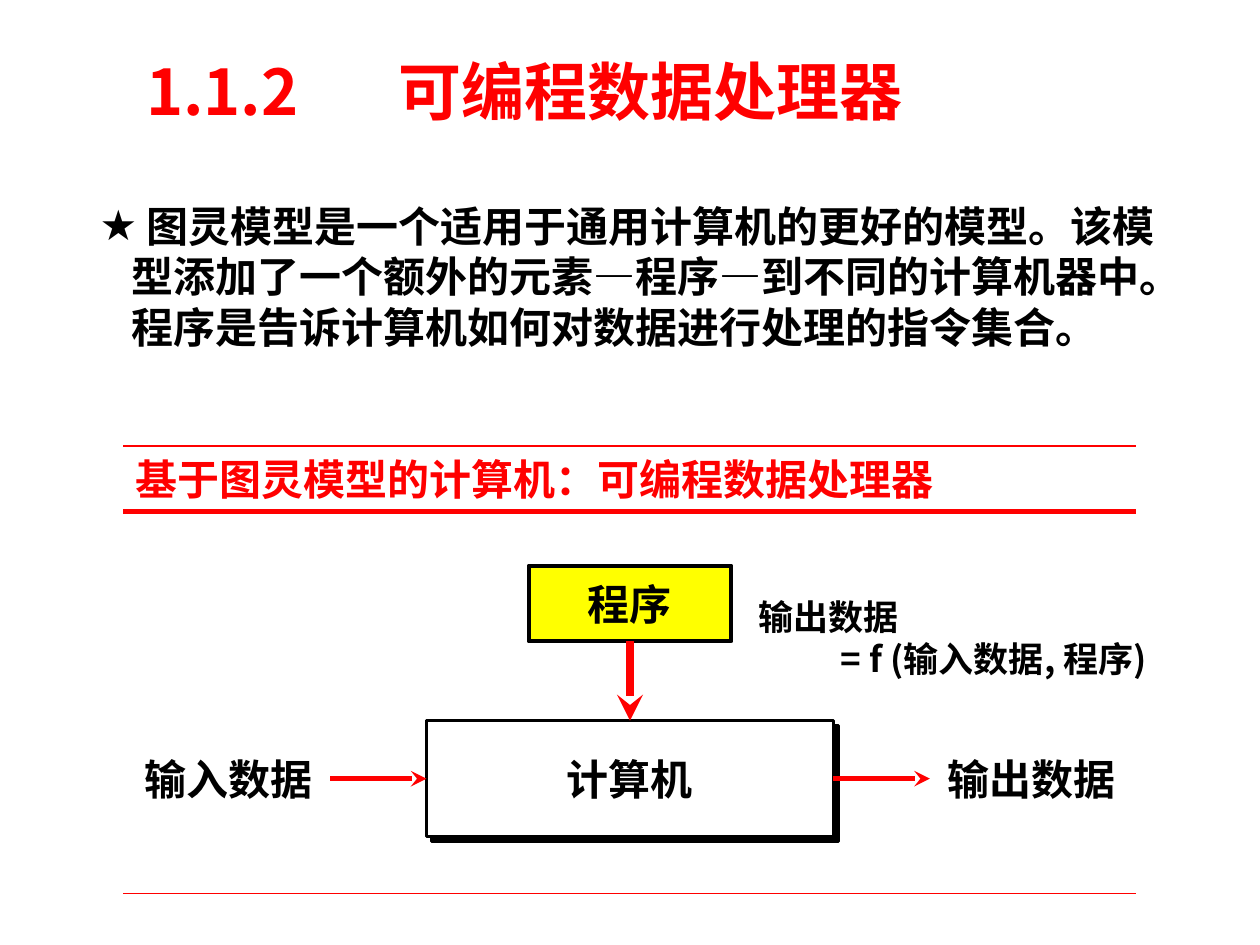
from lxml import etree
from pptx import Presentation
from pptx.dml.color import RGBColor
from pptx.enum.shapes import MSO_CONNECTOR, MSO_SHAPE
from pptx.enum.text import MSO_ANCHOR, MSO_AUTO_SIZE, PP_ALIGN
from pptx.oxml.ns import qn
from pptx.util import Inches, Pt

COLORS = {"red": "FF0000", "black": "000000", "white": "FFFFFF", "yellow": "FFFF00"}
CJK = "Noto Sans CJK SC"
LEFT, CENTER, RIGHT = PP_ALIGN.LEFT, PP_ALIGN.CENTER, PP_ALIGN.RIGHT
TOP, MIDDLE = MSO_ANCHOR.TOP, MSO_ANCHOR.MIDDLE
RECTANGLE, STRAIGHT = MSO_SHAPE.RECTANGLE, MSO_CONNECTOR.STRAIGHT
NO_FIT = MSO_AUTO_SIZE.NONE
COLS, ROWS = 100, 75
SIDE_TOP, SIDE_LEFT, SIDE_BOTTOM, SIDE_RIGHT = range(4)

prs = Presentation()
prs.slide_width, prs.slide_height = Inches(10), Inches(7.5)


def rgb(name):
    return RGBColor.from_string(COLORS[name])


def x(cols):
    return round(prs.slide_width * cols / COLS)


def y(rows):
    return round(prs.slide_height * rows / ROWS)


def within(box, left, top, width, height):
    return box[0] + left, box[1] + top, width, height


def emu(box):
    left, top, width, height = box
    return x(left), y(top), x(width), y(height)


def add_run(p, text, size, color="black", font=CJK):
    r = p.add_run()
    r.text = text
    r.font.size, r.font.bold, r.font.name = Pt(size), True, font
    r.font.color.rgb = rgb(color)
    etree.SubElement(r._r.get_or_add_rPr(), qn("a:ea")).set("typeface", CJK)


def set_frame(tf, anchor):
    tf.word_wrap = True
    tf.auto_size = NO_FIT
    tf.vertical_anchor = anchor


def add_label(s, box, text, align=CENTER, color="black", font="Calibri"):
    sp = s.shapes.add_textbox(*emu(box))
    set_frame(sp.text_frame, MIDDLE)
    p = sp.text_frame.paragraphs[0]
    p.alignment = align
    add_run(p, text, 24, color, font)
    return sp


def add_block(s, box, fill, width, text=None):
    sp = s.shapes.add_shape(RECTANGLE, *emu(box))
    sp.shadow.inherit = False
    sp.fill.solid()
    sp.fill.fore_color.rgb = rgb(fill)
    sp.line.color.rgb = rgb("black")
    sp.line.width = Pt(width)
    if text:
        set_frame(sp.text_frame, MIDDLE)
        p = sp.text_frame.paragraphs[0]
        p.alignment = CENTER
        add_run(p, text, 24, font="Calibri")
    return sp


def add_line(s, start, end, width):
    line = s.shapes.add_connector(STRAIGHT, x(start[0]), y(start[1]), x(end[0]), y(end[1]))
    line.line.color.rgb = rgb("red")
    line.line.width = Pt(width)
    etree.SubElement(line._element.spPr, qn("a:effectLst"))
    return line


def add_arrow(s, source, source_side, target, target_side, width):
    arrow = add_line(s, (0, 0), (0, 0), width)
    arrow.begin_connect(source, source_side)
    arrow.end_connect(target, target_side)
    etree.SubElement(arrow.line._get_or_add_ln(), qn("a:tailEnd")).set("type", "stealth")


def fill_title(s, box):
    sp = s.shapes.title
    sp.left, sp.top, sp.width, sp.height = emu(box)
    set_frame(sp.text_frame, MIDDLE)
    p = sp.text_frame.paragraphs[0]
    p.alignment, p.line_spacing = LEFT, 0.9
    add_run(p, "1.1.2\t\t可编程数据处理器", 36, "red")


def fill_body(s, box):
    sp = s.placeholders[1]
    sp.left, sp.top, sp.width, sp.height = emu(box)
    set_frame(sp.text_frame, TOP)
    p = sp.text_frame.paragraphs[0]
    p.space_before, p.space_after = Pt(0), Pt(12)
    pPr = p._p.get_or_add_pPr()
    pPr.set("marL", str(Inches(0.25)))
    pPr.set("indent", str(-Inches(0.25)))
    etree.SubElement(pPr, qn("a:buChar")).set("char", "★")
    add_run(p, " 图灵模型是一个适用于通用计算机的更好的模型。该模型添加了一个额外的元素—程序—"
               "到不同的计算机器中。程序是告诉计算机如何对数据进行处理的指令集合。", 24, font="Arial")


def add_formula(s, box):
    tf = s.shapes.add_textbox(*emu(box)).text_frame
    set_frame(tf, TOP)
    add_run(tf.paragraphs[0], "输出数据", 20)
    p = tf.add_paragraph()
    p.alignment = RIGHT
    add_run(p, " = f (输入数据, 程序)", 20)


def add_figure(s, box):
    left, top, width, height = box
    add_label(s, within(box, 0, 0, width, 5.1), "基于图灵模型的计算机：可编程数据处理器", LEFT, "red", CJK)
    for row, weight in ((0, 0.75), (5.2, 3), (height, 0.75)):
        add_line(s, (left, top + row), (left + width, top + row), weight)

    label_w, label_h, block_w, block_h, drop = 16.1, 5, 32.3, 9.2, 0.4
    block_left, block_top = (width - block_w) / 2, 21.8
    label_top = block_top + (block_h - label_h) / 2
    add_block(s, within(box, block_left + drop, block_top + drop, block_w, block_h), "black", 1.5)
    computer = add_block(s, within(box, block_left, block_top, block_w, block_h), "white", 1.5, "计算机")
    program = add_block(s, within(box, (width - label_w) / 2, 9.5, label_w, 6), "yellow", 2.25, "程序")
    source = add_label(s, within(box, 0.3, label_top, label_w, label_h), "输入数据")
    result = add_label(s, within(box, width - label_w - 0.3, label_top, label_w, label_h), "输出数据")

    add_arrow(s, source, SIDE_RIGHT, computer, SIDE_LEFT, 3)
    add_arrow(s, computer, SIDE_RIGHT, result, SIDE_LEFT, 3)
    add_arrow(s, program, SIDE_BOTTOM, computer, SIDE_TOP, 5)
    add_formula(s, within(box, 49.4, 11.4, 32.8, 7.7))


def main():
    s = prs.slides.add_slide(prs.slide_layouts[1])
    fill_title(s, (10.6, 4.3, 78.7, 6.5))
    fill_body(s, (6.9, 15.4, 86.2, 52.1))
    add_figure(s, (9.8, 35.4, 80.4, 35.5))
    prs.save("out.pptx")


if __name__ == "__main__":
    main()
